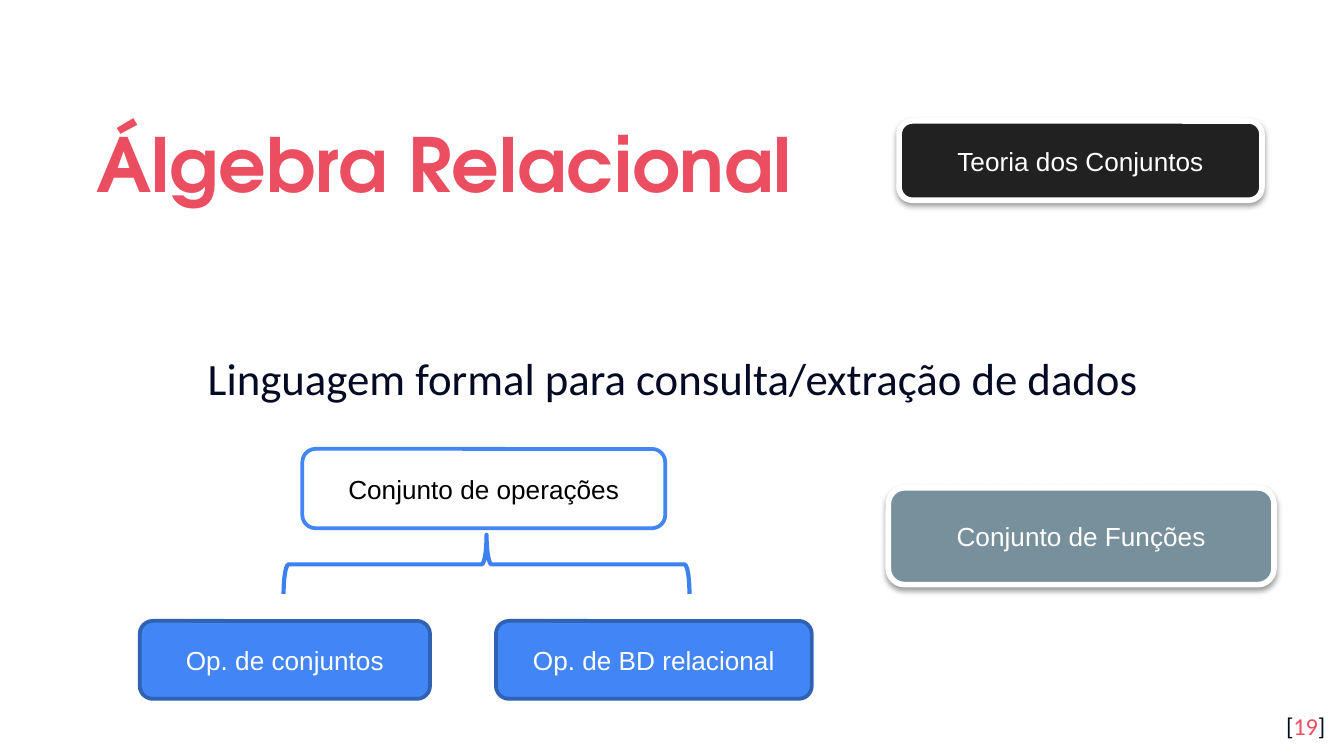
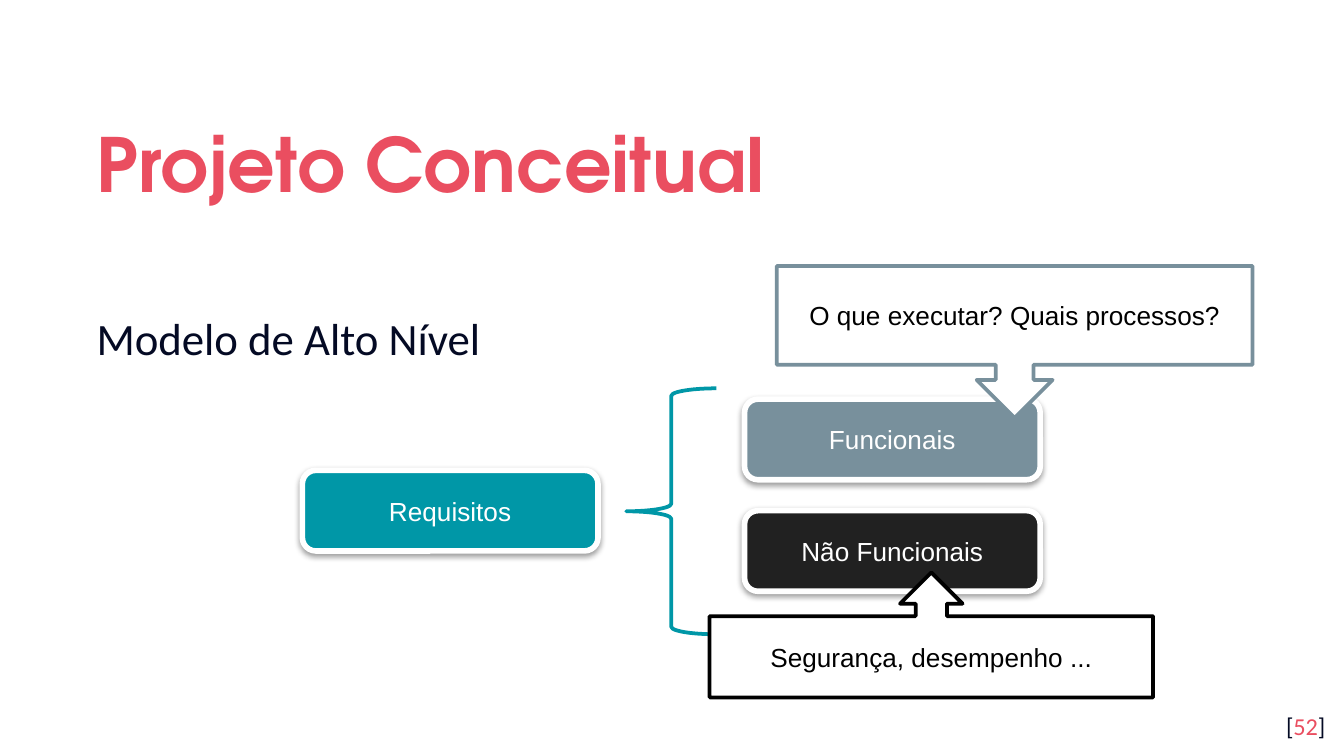
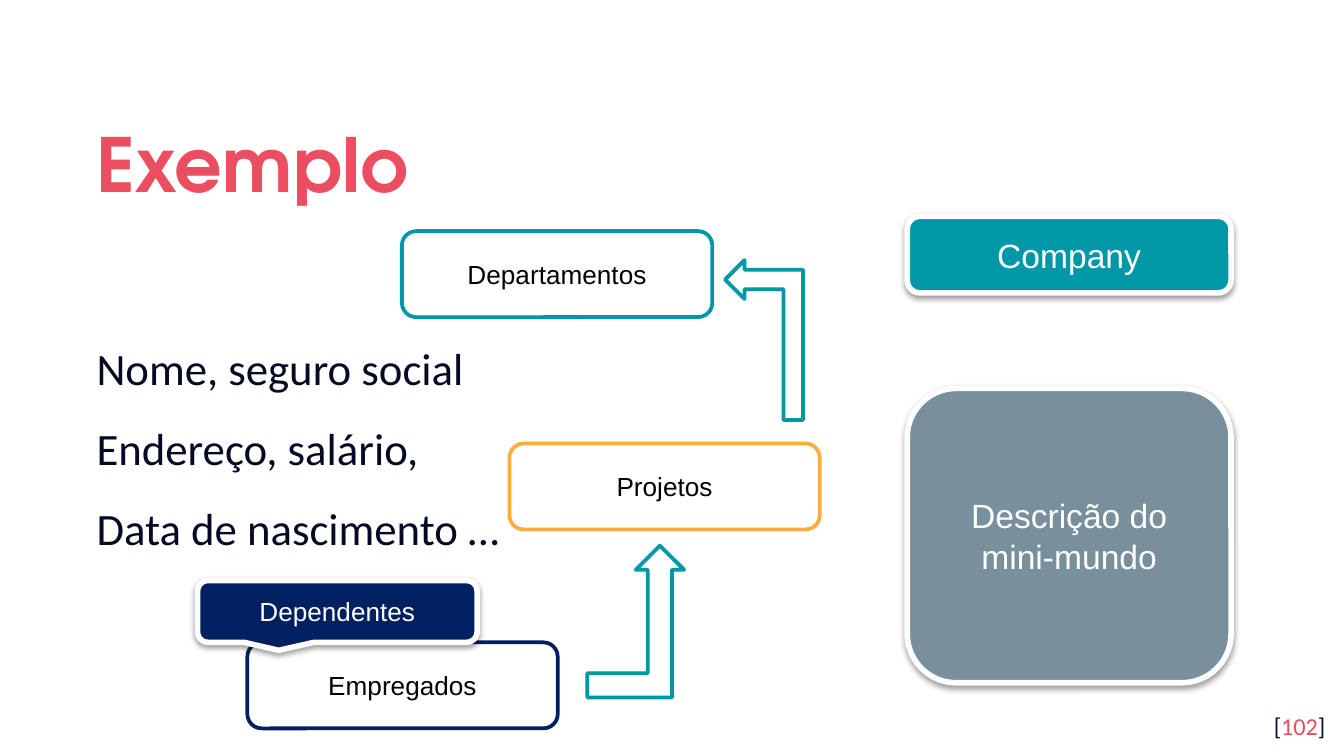
from lxml.etree import SubElement
from pptx import Presentation
from pptx.dml.color import RGBColor
from pptx.enum.shapes import MSO_SHAPE
from pptx.enum.text import MSO_ANCHOR, PP_ALIGN
from pptx.oxml.ns import qn
from pptx.util import Inches, Pt

WHITE = RGBColor(0xFF, 0xFF, 0xFF)
BLACK = RGBColor(0x00, 0x00, 0x00)
CORAL = RGBColor(0xEA, 0x4E, 0x60)
INK = RGBColor(0x04, 0x0A, 0x24)
CHARCOAL = RGBColor(0x21, 0x21, 0x21)
SLATE = RGBColor(0x78, 0x90, 0x9C)
TEAL = RGBColor(0x00, 0x97, 0xA7)
ORANGE = RGBColor(0xFF, 0xAB, 0x40)
NAVY = RGBColor(0x00, 0x20, 0x60)
BLUE = RGBColor(0x42, 0x85, 0xF4)
DARK_BLUE = RGBColor(0x30, 0x62, 0xB4)
BRACE_BLUE = RGBColor(0x3C, 0x81, 0xF2)


def write_text(paragraph, text, *, size, font, color, bold=False,
               align=PP_ALIGN.LEFT, spacing=None, before=None):
    """Add a formatted run to a paragraph."""
    run = paragraph.add_run()
    run.text = text
    run.font.size = Pt(size)
    run.font.name = font
    run.font.color.rgb = color
    run.font.bold = bold
    paragraph.alignment = align
    if spacing:
        paragraph.line_spacing = spacing
    if before:
        paragraph.space_before = Pt(before)


class Deck:
    """Holds the shared style and the slide being built."""

    def __init__(self):
        self.presentation = Presentation()
        self.presentation.slide_width = Inches(10)
        self.presentation.slide_height = Inches(10) * 9 // 16
        self.slide = None

    def add_slide(self, title, number, body, align, *, spacing=1.15,
                  room_above=0.1, room_below=0.1):
        """Start a slide with its body text, title and page number."""
        self.slide = self.presentation.slides.add_slide(
            self.presentation.slide_layouts[6])
        frame = self.text_frame(0.62, 1.62, 8.77, 3.37)
        frame.margin_top = Inches(room_above)
        frame.margin_bottom = Inches(room_below)
        for index, line in enumerate(body):
            paragraph = frame.add_paragraph() if index else frame.paragraphs[0]
            write_text(paragraph, line, size=24, font="Calibri", color=INK,
                       align=align, spacing=spacing,
                       before=10 if index else None)
        frame = self.text_frame(0.62, 0.7, 8.77, 0.92)
        write_text(frame.paragraphs[0], title, size=40, bold=True,
                   font="TeX Gyre Adventor", color=CORAL, spacing=1.15)
        frame = self.text_frame(9.36, 5.19, 0.6, 0.43, MSO_ANCHOR.TOP)
        for text, color in (("[", INK), (str(number), CORAL), ("]", INK)):
            write_text(frame.paragraphs[0], text, size=13, font="Calibri",
                       color=color, align=PP_ALIGN.RIGHT)

    def text_frame(self, left, top, width, height, anchor=MSO_ANCHOR.MIDDLE):
        """Add a text box and return its frame."""
        frame = self.slide.shapes.add_textbox(
            Inches(left), Inches(top), Inches(width), Inches(height)).text_frame
        frame.word_wrap = True
        frame.vertical_anchor = anchor
        frame.margin_left = frame.margin_right = Inches(0.1)
        frame.margin_top = frame.margin_bottom = Inches(0.1)
        return frame

    def shape(self, kind, left, top, width, height, *, fill=WHITE, line=TEAL,
              line_width=2, rotation=0, adjustments=()):
        """Add a preset shape without shadow."""
        shape = self.slide.shapes.add_shape(
            kind, Inches(left), Inches(top), Inches(width), Inches(height))
        shape.shadow.inherit = False
        shape.rotation = rotation
        for index, value in enumerate(adjustments):
            shape.adjustments[index] = value
        if fill is None:
            shape.fill.background()
        else:
            shape.fill.solid()
            shape.fill.fore_color.rgb = fill
        shape.line.color.rgb = line
        shape.line.width = Pt(line_width)
        return shape

    def box(self, text, left, top, width, height, *, kind=MSO_SHAPE.ROUNDED_RECTANGLE,
            color=BLACK, size=14, **style):
        """Add a labelled shape."""
        shape = self.shape(kind, left, top, width, height, **style)
        shape.text_frame.word_wrap = True
        shape.text_frame.vertical_anchor = MSO_ANCHOR.MIDDLE
        write_text(shape.text_frame.paragraphs[0], text, size=size, font="Arial",
                   color=color, align=PP_ALIGN.CENTER)
        return shape

    def raised_box(self, text, left, top, width, height, fill, **style):
        """Add a labelled shape with a white border and a soft shadow."""
        shape = self.box(text, left, top, width, height, fill=fill, line=WHITE,
                         line_width=3, color=WHITE, **style)
        effects = shape._element.spPr.find(qn("a:effectLst"))
        shadow = SubElement(effects, qn("a:outerShdw"), blurRad="40000",
                            dist="20000", dir="5400000", rotWithShape="0")
        tint = SubElement(shadow, qn("a:srgbClr"), val="000000")
        SubElement(tint, qn("a:alpha"), val="38000")

    def relational_algebra(self):
        """Build the relational algebra slide."""
        self.add_slide("Álgebra Relacional", 19,
                       ["Linguagem formal para consulta/extração de dados"],
                       PP_ALIGN.CENTER, room_above=0.25, room_below=1.3)
        self.box("Conjunto de operações", 2.25, 3.34, 2.7, 0.59, line=BLUE)
        self.raised_box("Teoria dos Conjuntos", 6.69, 0.9, 2.7, 0.59, CHARCOAL)
        self.shape(MSO_SHAPE.LEFT_BRACE, 3.4, 2.69, 0.44, 3.02, fill=None,
                   line=BRACE_BLUE, line_width=2.25, rotation=90)
        for text, left, width in (("Op. de conjuntos", 1.04, 2.16),
                                  ("Op. de BD relacional", 3.69, 2.35)):
            self.box(text, left, 4.62, width, 0.58, fill=BLUE, line=DARK_BLUE,
                     color=WHITE)
        self.raised_box("Conjunto de Funções", 6.61, 3.63, 2.87, 0.72, SLATE)

    def conceptual_design(self):
        """Build the conceptual design slide."""
        self.add_slide("Projeto Conceitual", 52, ["Modelo de Alto Nível"],
                       PP_ALIGN.JUSTIFY, room_above=0.25, room_below=1.9)
        self.shape(MSO_SHAPE.LEFT_BRACE, 4.66, 2.89, 0.67, 1.83)
        for text, left, top, fill in (("Requisitos", 2.25, 3.5, TEAL),
                                      ("Funcionais", 5.54, 2.97, SLATE),
                                      ("Não Funcionais", 5.54, 3.8, CHARCOAL)):
            self.raised_box(text, left, top, 2.2, 0.6, fill)
        callout = (0.25, 0.25, 0.25, 0.65)
        self.box("Segurança, desempenho ...", 5.28, 4.26, 3.3, 0.93, line=BLACK,
                 kind=MSO_SHAPE.UP_ARROW_CALLOUT, adjustments=callout)
        self.box("O que executar? Quais processos?", 5.78, 1.98, 3.54, 1.13,
                 line=SLATE, kind=MSO_SHAPE.DOWN_ARROW_CALLOUT,
                 adjustments=callout)

    def example(self):
        """Build the example slide."""
        self.add_slide("Exemplo", 102,
                       ["Nome, seguro social", "Endereço, salário,",
                        "Data de nascimento …"], PP_ALIGN.JUSTIFY, spacing=1.14)
        for text, top, height, fill in (
                ("Company", 1.61, 0.57, TEAL),
                ("Descrição do mini-mundo", 2.89, 2.19, SLATE)):
            self.raised_box(text, 6.75, top, 2.41, height, fill, size=18)
        for text, left, top, line in (("Departamentos", 2.99, 1.72, TEAL),
                                      ("Projetos", 3.79, 3.3, ORANGE),
                                      ("Empregados", 1.84, 4.78, NAVY)):
            self.box(text, left, top, 2.31, 0.64, line=line)
        self.shape(MSO_SHAPE.BENT_UP_ARROW, 4.37, 4.06, 0.72, 1.13)
        self.shape(MSO_SHAPE.BENT_UP_ARROW, 5.09, 2.24, 1.19, 0.58, rotation=270)
        self.raised_box("Dependentes", 1.47, 4.32, 2.08, 0.46, NAVY,
                        kind=MSO_SHAPE.ROUNDED_RECTANGULAR_CALLOUT,
                        adjustments=(-0.21, 0.63, 0.17))


def main():
    """Build and save the three slides."""
    deck = Deck()
    deck.relational_algebra()
    deck.conceptual_design()
    deck.example()
    deck.presentation.save("out.pptx")


if __name__ == "__main__":
    main()
